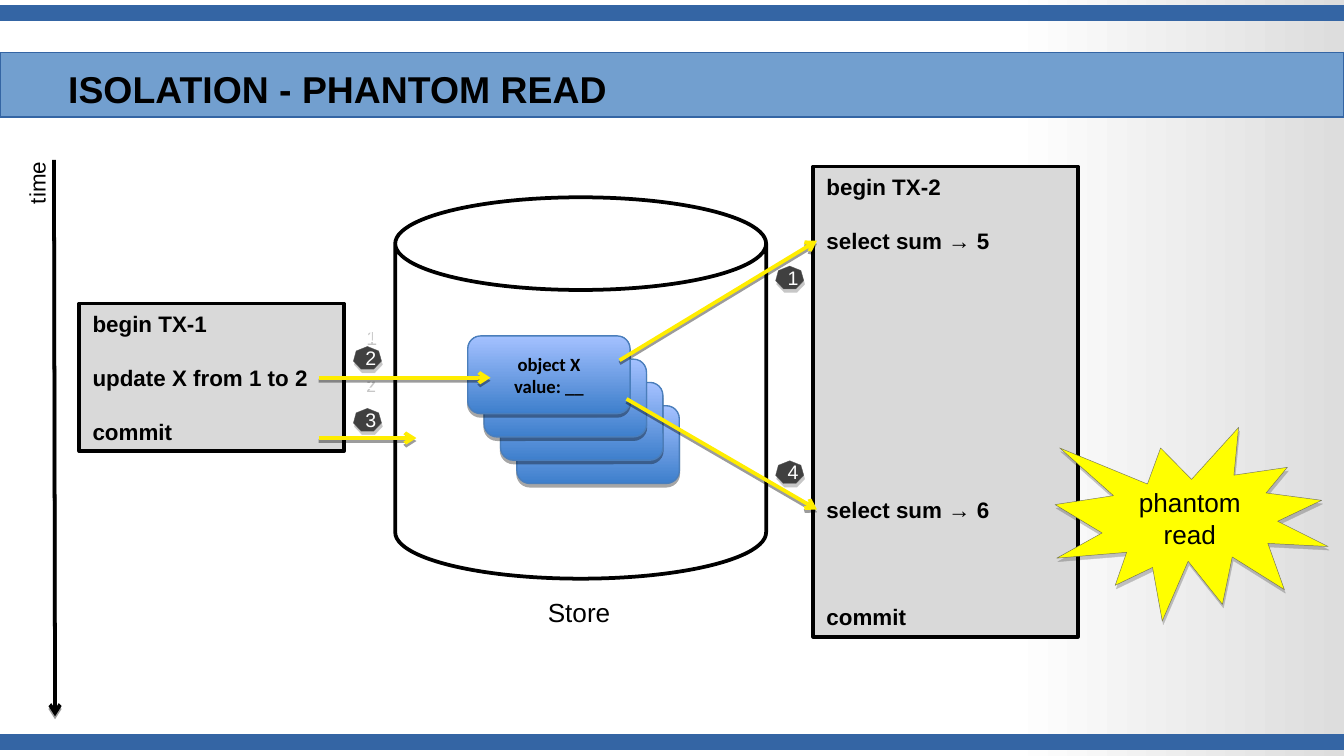
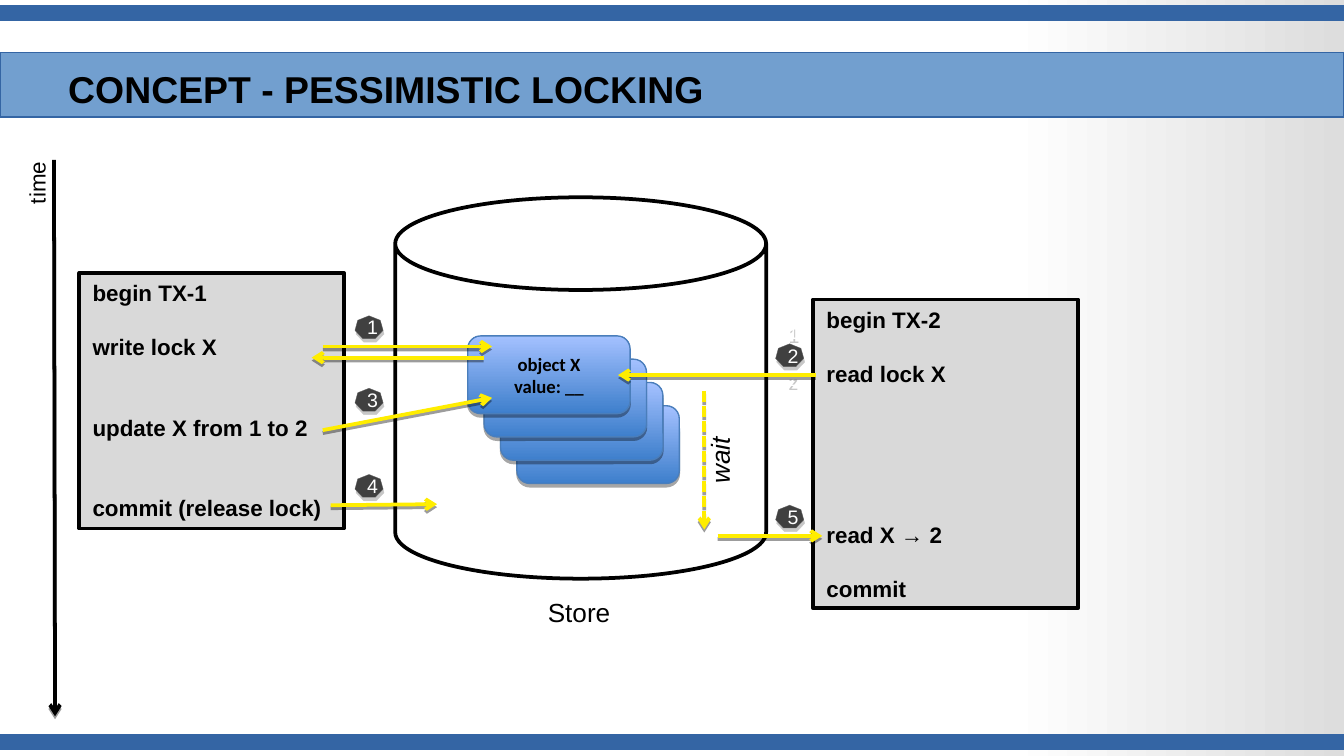
"""Build two slides on transaction isolation and locking."""
from dataclasses import dataclass
from typing import NamedTuple

from lxml.etree import SubElement
from pptx import Presentation
from pptx.dml.color import RGBColor
from pptx.enum.dml import MSO_LINE
from pptx.enum.shapes import MSO_CONNECTOR, MSO_SHAPE
from pptx.enum.text import MSO_ANCHOR, PP_ALIGN
from pptx.oxml.ns import qn
from pptx.util import Cm, Pt


@dataclass(frozen=True)
class Theme:
    """Colours, fonts and type sizes of the deck."""
    ink: str = "000000"
    paper: str = "FFFFFF"
    paper_edge: str = "DDDDDD"
    header: str = "729FCF"
    band: str = "3465A4"
    panel: str = "D9D9D9"
    card_low: str = "3E7FCC"
    card_high: str = "A4C1FF"
    card_edge: str = "4A7EBB"
    badge: str = "404040"
    soft_edge: str = "595959"
    flow: str = "FFED00"
    burst: str = "FFFF00"
    font: str = "Arial"
    card_font: str = "Calibri"
    title_size: float = 20
    label_size: float = 14
    body_size: float = 12
    badge_size: float = 10.5
    card_size: float = 10
    row_pitch: float = 14.4


THEME = Theme()


class Box(NamedTuple):
    """Place and size in centimetres."""
    left: float
    top: float
    width: float
    height: float


class Shadow(NamedTuple):
    """Shadow opacity in percent, distance in points, direction in degrees."""
    opacity: int
    distance: float
    direction: int


class Step(NamedTuple):
    """A statement and the text row it stands on."""
    text: str
    row: int


class Transaction(NamedTuple):
    """A transaction panel with its statements."""
    box: Box
    steps: tuple[Step, ...]


class Badge(NamedTuple):
    """A sequence number beside a flow."""
    text: str
    left: float
    top: float


class Flow(NamedTuple):
    """An arrow between two points in centimetres."""
    x1: float
    y1: float
    x2: float
    y2: float
    dashed: bool = False


class Label(NamedTuple):
    """A free text on a slide."""
    text: str
    box: Box
    size: float
    rotation: int = 0
    italic: bool = False
    align: PP_ALIGN = PP_ALIGN.LEFT


class Scene(NamedTuple):
    """Everything that differs from slide to slide."""
    title: str
    transactions: tuple[Transaction, ...]
    badges: tuple[Badge, ...]
    flows: tuple[Flow, ...]
    burst: str = ""
    labels: tuple[Label, ...] = ()


CARD_SHADOW = Shadow(35, 1.8, 90)
LINE_SHADOW = Shadow(38, 1.6, 90)
SOFT_SHADOW = Shadow(22, 2, 74)

HEADER = Box(0, 0.99, 25.4, 1.22)
BANDS = (Box(0, 13.89, 25.4, 0.28), Box(0, 0.1, 25.4, 0.28))
TITLE = Box(1.09, 0.89, 19.23, 1.65)
STORE = Box(7.47, 3.73, 7.01, 7.21)
CARD = Box(8.84, 6.35, 3.07, 1.47)
CARD_COUNT, CARD_DX, CARD_DY = 4, 0.31, 0.44
BURST = Box(19.94, 8.08, 5.16, 3.66)
TIME_AXIS = Flow(1.02, 3.02, 1.04, 13.54)
TX1_LEFT, TX2_LEFT, TX_WIDTH = 1.5, 15.37, 5.0
RIGHT_BADGES = 14.66

SHARED_LABELS = (
    Label("Store", Box(9.04, 11.15, 3.81, 0.84), THEME.label_size, align=PP_ALIGN.CENTER),
    Label("time", Box(-0.08, 2.95, 1.55, 0.76), THEME.body_size, rotation=270),
)

SCENES = (
    Scene(
        "ISOLATION - PHANTOM READ",
        (
            Transaction(Box(TX1_LEFT, 5.74, TX_WIDTH, 2.79), (
                Step("begin TX-1", 0), Step("update X from 1 to 2", 2), Step("commit", 4))),
            Transaction(Box(TX2_LEFT, 3.15, TX_WIDTH, 8.89), (
                Step("begin TX-2", 0), Step("select sum → 5", 2),
                Step("select sum → 6", 12), Step("commit", 16))),
        ),
        (
            Badge("1", RIGHT_BADGES, 5.03), Badge("12z", 6.68, 6.55),
            Badge("3", 6.68, 7.72), Badge("4", RIGHT_BADGES, 8.71),
        ),
        (
            Flow(6.02, 8.28, 7.87, 8.28), Flow(6.02, 7.14, 9.27, 7.14),
            Flow(11.84, 7.54, 15.44, 9.63), Flow(11.71, 6.81, 15.44, 4.55),
        ),
        burst="phantom read",
    ),
    Scene(
        "CONCEPT - PESSIMISTIC LOCKING",
        (
            Transaction(Box(TX1_LEFT, 5.16, TX_WIDTH, 4.83), (
                Step("begin TX-1", 0), Step("write lock X", 2),
                Step("update X from 1 to 2", 5), Step("commit (release lock)", 8))),
            Transaction(Box(TX2_LEFT, 5.66, TX_WIDTH, 5.84), (
                Step("begin TX-2", 0), Step("read lock X", 2),
                Step("read X → 2", 8), Step("commit", 10))),
        ),
        (
            Badge("1", 6.71, 5.97), Badge("12z", RIGHT_BADGES, 6.5), Badge("3", 6.71, 7.34),
            Badge("4", 6.71, 8.97), Badge("5", RIGHT_BADGES, 9.55),
        ),
        (
            Flow(6.25, 9.55, 8.26, 9.53), Flow(6.1, 6.55, 9.3, 6.55),
            Flow(15.42, 7.09, 11.68, 7.09), Flow(6.1, 8.13, 9.3, 7.52),
            Flow(13.31, 7.39, 13.31, 10.01, dashed=True),
            Flow(13.56, 10.13, 15.54, 10.13), Flow(9.14, 6.76, 5.89, 6.76),
        ),
        labels=(Label("wait", Box(12.67, 8.05, 1.85, 0.84), THEME.label_size, 270, True),),
    ),
)


def rgb(value: str) -> RGBColor:
    """Turn a hex code into a colour."""
    return RGBColor.from_string(value)


def paint_gradient(fill, stops, angle: float) -> None:
    """Fill with a two-stop linear gradient."""
    fill.gradient()
    fill.gradient_angle = angle
    for stop, (position, colour) in zip(fill.gradient_stops, stops):
        stop.position = position
        stop.color.rgb = rgb(colour)


def cast_shadow(properties, shadow: Shadow) -> None:
    """Add an outer shadow to shape properties."""
    effects = properties.find(qn("a:effectLst"))
    if effects is None:
        effects = SubElement(properties, qn("a:effectLst"))
    outer = SubElement(effects, qn("a:outerShdw"), blurRad="0", dist=str(int(Pt(shadow.distance))),
                       dir=str(shadow.direction * 60000), rotWithShape="0")
    colour = SubElement(outer, qn("a:srgbClr"), val=THEME.ink)
    SubElement(colour, qn("a:alpha"), val=str(shadow.opacity * 1000))


def write(shape, *steps: Step, size: float, colour: str = THEME.ink, font: str = THEME.font,
          bold: bool = False, italic: bool = False, align: PP_ALIGN = PP_ALIGN.LEFT,
          anchor: MSO_ANCHOR = MSO_ANCHOR.TOP, spacing: float | None = None,
          pitch: float | None = None) -> None:
    """Write steps as formatted paragraphs, spaced by row when a pitch is given."""
    frame = shape.text_frame
    frame.word_wrap = True
    frame.vertical_anchor = anchor
    previous = -1
    for step in steps:
        paragraph = frame.paragraphs[0] if previous < 0 else frame.add_paragraph()
        paragraph.alignment = align
        if spacing:
            paragraph.line_spacing = spacing
        if pitch:
            paragraph.line_spacing = Pt(pitch)
            paragraph.space_before = Pt(pitch * (step.row - previous - 1))
        previous = step.row
        run = paragraph.add_run()
        run.text = step.text
        run.font.size, run.font.name = Pt(size), font
        run.font.bold, run.font.italic = bold, italic
        run.font.color.rgb = rgb(colour)


def add_block(slide, preset: MSO_SHAPE, box: Box, fill: str, edge: str, weight: float,
              shadow: Shadow | None = None):
    """Draw a filled and outlined preset shape."""
    block = slide.shapes.add_shape(preset, *map(Cm, box))
    block.shadow.inherit = False
    block.fill.solid()
    block.fill.fore_color.rgb = rgb(fill)
    block.line.color.rgb = rgb(edge)
    block.line.width = Pt(weight)
    if shadow:
        cast_shadow(block.element.spPr, shadow)
    return block


def add_soft_block(slide, preset: MSO_SHAPE, box: Box, fill: str, text: str,
                   size: float, colour: str) -> None:
    """Draw a shape with a translucent hairline and centred text."""
    block = add_block(slide, preset, box, fill, THEME.soft_edge, 0.25, SOFT_SHADOW)
    edge = block.element.spPr.find(qn("a:ln")).find(".//" + qn("a:srgbClr"))
    SubElement(edge, qn("a:alpha"), val="78000")
    write(block, Step(text, 0), size=size, colour=colour, align=PP_ALIGN.CENTER,
          anchor=MSO_ANCHOR.MIDDLE)


def add_flow(slide, flow: Flow, colour: str) -> None:
    """Draw an arrow with a shadow."""
    arrow = slide.shapes.add_connector(MSO_CONNECTOR.STRAIGHT, *map(Cm, flow[:4]))
    arrow.line.color.rgb = rgb(colour)
    arrow.line.width = Pt(2)
    if flow.dashed:
        arrow.line.dash_style = MSO_LINE.SQUARE_DOT
    properties = arrow.element.spPr
    SubElement(properties.find(qn("a:ln")), qn("a:tailEnd"), type="arrow")
    cast_shadow(properties, LINE_SHADOW)


def add_label(slide, label: Label) -> None:
    """Place a free text."""
    text_box = slide.shapes.add_textbox(*map(Cm, label.box))
    text_box.rotation = label.rotation
    write(text_box, Step(label.text, 0), size=label.size, italic=label.italic, align=label.align)


def add_frame(slide, title: str) -> None:
    """Draw the background, the bands and the title."""
    paint_gradient(slide.background.fill, ((0.75, THEME.paper), (1, THEME.paper_edge)), 0)
    add_block(slide, MSO_SHAPE.RECTANGLE, HEADER, THEME.header, THEME.band, 0)
    for band in BANDS:
        add_block(slide, MSO_SHAPE.RECTANGLE, band, THEME.band, THEME.band, 0)
    heading = slide.shapes.add_textbox(*map(Cm, TITLE))
    frame = heading.text_frame
    frame.margin_left = frame.margin_right = Cm(0.2)
    frame.margin_top = frame.margin_bottom = Cm(0.1)
    write(heading, Step(title, 0), size=THEME.title_size, bold=True, anchor=MSO_ANCHOR.MIDDLE,
          spacing=0.95)


def add_store(slide) -> None:
    """Draw the store with its stack of object cards."""
    add_block(slide, MSO_SHAPE.CAN, STORE, THEME.paper, THEME.ink, 2)
    for depth in reversed(range(CARD_COUNT)):
        box = CARD._replace(left=CARD.left + depth * CARD_DX, top=CARD.top + depth * CARD_DY)
        card = add_block(slide, MSO_SHAPE.ROUNDED_RECTANGLE, box, THEME.card_low,
                         THEME.card_edge, 0.75, CARD_SHADOW)
        paint_gradient(card.fill, ((0, THEME.card_low), (1, THEME.card_high)), 90)
    write(card, Step("object X", 0), Step("value: __", 1), size=THEME.card_size,
          font=THEME.card_font, bold=True, align=PP_ALIGN.CENTER, anchor=MSO_ANCHOR.MIDDLE)


def add_scene(slide, scene: Scene) -> None:
    """Draw one whole slide."""
    add_frame(slide, scene.title)
    add_store(slide)
    for transaction in scene.transactions:
        panel = add_block(slide, MSO_SHAPE.RECTANGLE, transaction.box, THEME.panel, THEME.ink, 2)
        write(panel, *transaction.steps, size=THEME.body_size, bold=True, pitch=THEME.row_pitch)
    add_flow(slide, TIME_AXIS, THEME.ink)
    for label in SHARED_LABELS + scene.labels:
        add_label(slide, label)
    for badge in scene.badges:
        add_soft_block(slide, MSO_SHAPE.HEPTAGON, Box(badge.left, badge.top, 0.53, 0.43),
                       THEME.badge, badge.text, THEME.badge_size, THEME.paper)
    if scene.burst:
        add_soft_block(slide, MSO_SHAPE.EXPLOSION1, BURST, THEME.burst, scene.burst,
                       THEME.label_size, THEME.ink)
    for flow in scene.flows:
        add_flow(slide, flow, THEME.flow)


def main() -> None:
    """Build and save the deck."""
    deck = Presentation()
    deck.slide_width, deck.slide_height = Cm(25.4), Cm(14.29)
    for scene in SCENES:
        add_scene(deck.slides.add_slide(deck.slide_layouts[6]), scene)
    deck.save("out.pptx")


if __name__ == "__main__":
    main()
